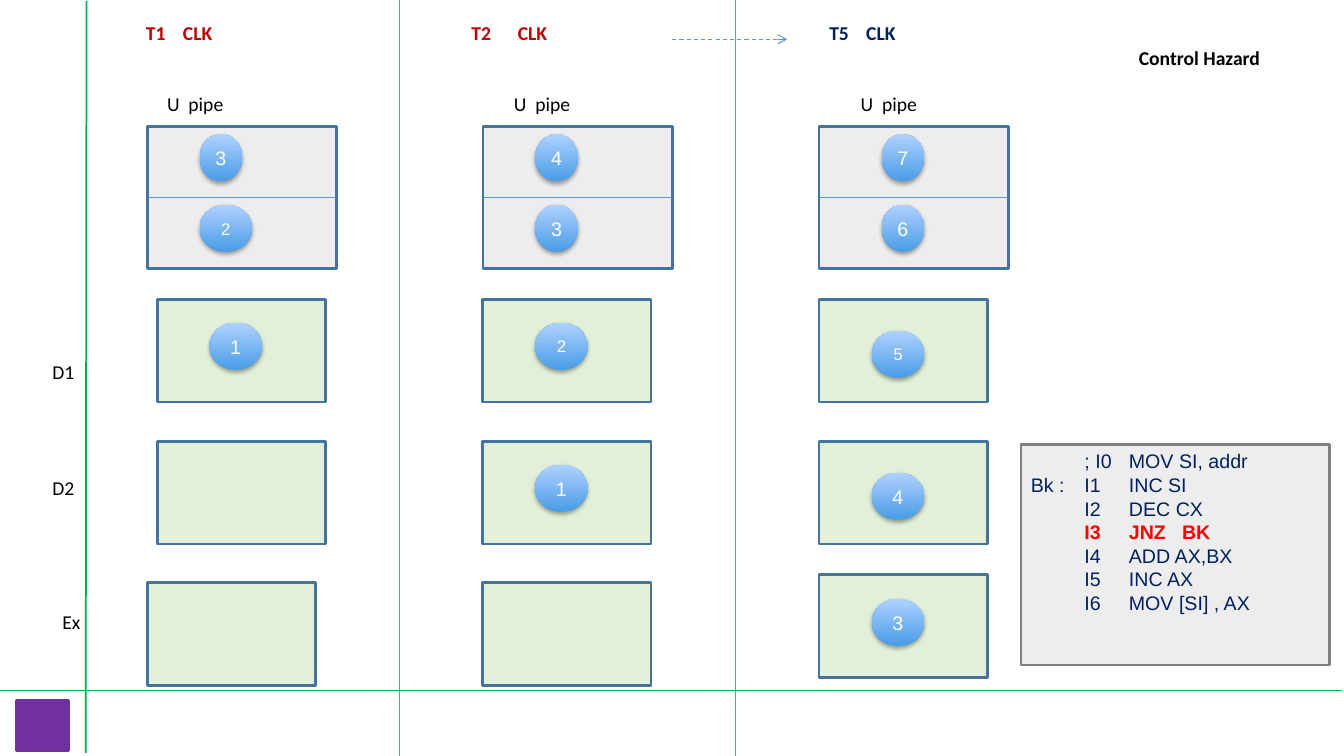
from dataclasses import dataclass

from lxml import etree
from pptx import Presentation
from pptx.dml.color import RGBColor
from pptx.enum.dml import MSO_LINE
from pptx.enum.shapes import MSO_CONNECTOR, MSO_SHAPE
from pptx.enum.text import MSO_ANCHOR, PP_ALIGN
from pptx.oxml.ns import qn
from pptx.util import Cm, Pt

RECTANGLE, OVAL = MSO_SHAPE.RECTANGLE, MSO_SHAPE.OVAL
STRAIGHT, DASH = MSO_CONNECTOR.STRAIGHT, MSO_LINE.DASH
TOP, MIDDLE, CENTER = MSO_ANCHOR.TOP, MSO_ANCHOR.MIDDLE, PP_ALIGN.CENTER

COLORS = {
    "fetch": "EDEDED", "stage": "E2F0D9", "outline": "43739E",
    "token_bottom": "499CE7", "token_top": "B0D2FF", "shadow": "000000",
    "rule": "5698D3", "axis": "00B050", "square": "7030A0",
    "listing_edge": "808080", "navy": "002060", "clock": "C00000",
    "jump": "FF0000", "black": "000000", "white": "FFFFFF",
}

# Lengths in centimetres
SLIDE_WIDTH, SLIDE_HEIGHT = 33.87, 19.05
FETCH_TOP, FETCH_WIDTH, FETCH_HEIGHT = 3.18, 4.78, 3.58
STAGE_WIDTH, STAGE_HEIGHT = 4.24, 2.59
D1_TOP, D2_TOP, EX_TOP = 7.54, 11.12, 14.68
UPPER, LOWER = 3.38, 5.16
WIDE, NARROW, TOKEN_HEIGHT = 1.32, 1.07, 1.19
COLUMN_LEFT, COLUMN_PITCH = 3.71, 8.465
SEPARATOR_LEFT = 10.06


@dataclass
class Token:
    number: int
    left: float
    top: float
    width: float = WIDE
    size: int = 14


@dataclass
class Cycle:
    stages: list[tuple[float, float]]
    tokens: list[Token]


@dataclass
class Label:
    text: str
    left: float
    top: float
    width: float
    color: str = "black"
    bold: bool = False
    tab: float = 0


CYCLES = [
    Cycle([(3.96, D1_TOP), (3.96, D2_TOP), (3.71, EX_TOP)],
          [Token(3, 5.03, UPPER, NARROW), Token(2, 5.03, LOWER, size=12),
           Token(1, 5.28, 8.13)]),
    Cycle([(12.17, D1_TOP), (12.17, D2_TOP), (12.17, EX_TOP)],
          [Token(4, 13.49, UPPER, NARROW), Token(3, 13.49, LOWER, NARROW),
           Token(2, 13.49, 8.13, size=12), Token(1, 13.49, 11.71)]),
    Cycle([(20.64, D1_TOP), (20.64, D2_TOP), (20.64, 14.48)],
          [Token(7, 22.22, UPPER, NARROW), Token(6, 22.22, LOWER, NARROW),
           Token(5, 21.97, 8.33, size=12), Token(4, 21.97, 11.91),
           Token(3, 21.97, 15.09)]),
]

LABELS = [
    Label("D1", 1.07, 8.94, 1.24),
    Label("D2", 1.07, 11.86, 1.24),
    Label("Ex", 1.32, 15.24, 1.09),
    Label("Control Hazard", 28.45, 1.04, 4.47, bold=True),
    Label("T1\tCLK", 3.43, 0.41, 4.78, "clock", True, 0.93),
    Label("T2\tCLK", 11.63, 0.41, 4.78, "clock", True, 1.17),
    Label("T5\tCLK", 20.65, 0.41, 4.78, "navy", True, 0.93),
    *(Label("U\tpipe", left, 2.18, 3.18, tab=0.54) for left in (3.96, 12.7, 21.44)),
]

LISTING = [
    "\t; I0\tMOV SI, addr",
    "Bk :\tI1\tINC SI",
    "\tI2\tDEC CX",
    "\tI3\tJNZ\tBK",
    "\tI4\tADD AX,BX",
    "\tI5\tINC AX",
    "\tI6\tMOV [SI] , AX",
]
LISTING_TABS = [1.35, 2.47, 3.81]


def rgb(name: str) -> RGBColor:
    return RGBColor.from_string(COLORS[name])


def add_tabs(para, stops: list[float]) -> None:
    tab_list = etree.SubElement(para._p.get_or_add_pPr(), qn("a:tabLst"))
    for stop in stops:
        etree.SubElement(tab_list, qn("a:tab"), pos=str(Cm(stop)), algn="l")


def set_font(para, name: str, size: int, color: str, bold: bool = False) -> None:
    font = para.font
    font.name, font.size, font.bold = name, Pt(size), bold
    font.color.rgb = rgb(color)


def add_box(page, left: float, top: float, width: float, height: float,
            fill: str, edge: str):
    box = page.shapes.add_shape(RECTANGLE, Cm(left), Cm(top), Cm(width), Cm(height))
    box.shadow.inherit = False
    box.fill.solid()
    box.fill.fore_color.rgb = rgb(fill)
    box.line.color.rgb = rgb(edge)
    box.line.width = Pt(2)
    return box


def add_line(page, start: tuple[float, float], end: tuple[float, float],
             color: str = "rule", width: float = 0.75):
    line = page.shapes.add_connector(
        STRAIGHT, Cm(start[0]), Cm(start[1]), Cm(end[0]), Cm(end[1]))
    line.line.color.rgb = rgb(color)
    line.line.width = Pt(width)
    etree.SubElement(line._element.spPr, qn("a:effectLst"))
    return line


def add_token(page, token: Token) -> None:
    oval = page.shapes.add_shape(
        OVAL, Cm(token.left), Cm(token.top), Cm(token.width), Cm(TOKEN_HEIGHT))
    oval.fill.gradient()
    oval.fill.gradient_angle = 90
    for stop, color in zip(oval.fill.gradient_stops, ("token_bottom", "token_top")):
        stop.color.rgb = rgb(color)
    oval.line.fill.background()
    oval.shadow.inherit = False
    effects = oval._element.spPr.find(qn("a:effectLst"))
    shadow = etree.SubElement(
        effects, qn("a:outerShdw"), blurRad=str(Pt(3.1)), dist=str(Pt(1.8)),
        dir="5400000", rotWithShape="0")
    shade = etree.SubElement(shadow, qn("a:srgbClr"), val=COLORS["shadow"])
    etree.SubElement(shade, qn("a:alpha"), val="35000")
    frame = oval.text_frame
    frame.margin_left = frame.margin_right = frame.margin_top = frame.margin_bottom = 0
    frame.vertical_anchor = MIDDLE
    para = frame.paragraphs[0]
    para.text = str(token.number)
    para.alignment = CENTER
    set_font(para, "Arial", token.size, "white")


def add_label(page, label: Label) -> None:
    box = page.shapes.add_textbox(
        Cm(label.left), Cm(label.top), Cm(label.width), Cm(1.02))
    box.text_frame.word_wrap = True
    para = box.text_frame.paragraphs[0]
    para.text = label.text
    if label.tab:
        add_tabs(para, [label.tab])
    set_font(para, "Calibri", 14, label.color, label.bold)


def add_listing(page) -> None:
    box = add_box(page, 25.73, 11.2, 7.77, 5.56, "fetch", "listing_edge")
    frame = box.text_frame
    frame.vertical_anchor = TOP
    frame.text = "\n".join(LISTING)
    for para in frame.paragraphs:
        is_jump = "JNZ" in para.text
        para.alignment = PP_ALIGN.LEFT
        add_tabs(para, LISTING_TABS)
        set_font(para, "Arial", 14, "jump" if is_jump else "navy", is_jump)


def main() -> None:
    deck = Presentation()
    deck.slide_width, deck.slide_height = Cm(SLIDE_WIDTH), Cm(SLIDE_HEIGHT)
    page = deck.slides.add_slide(deck.slide_layouts[6])

    # Pipeline state in each clock cycle
    for index, cycle in enumerate(CYCLES):
        left = COLUMN_LEFT + index * COLUMN_PITCH
        add_box(page, left, FETCH_TOP, FETCH_WIDTH, FETCH_HEIGHT, "fetch", "outline")
        middle = FETCH_TOP + FETCH_HEIGHT / 2
        add_line(page, (left + 0.03, middle), (left + FETCH_WIDTH - 0.03, middle))
        for stage_left, stage_top in cycle.stages:
            add_box(page, stage_left, stage_top, STAGE_WIDTH, STAGE_HEIGHT,
                    "stage", "outline")
        for token in cycle.tokens:
            add_token(page, token)

    # Program listing and labels
    add_listing(page)
    for label in LABELS:
        add_label(page, label)

    # Cycle separators and arrow to the later cycle
    for index in range(2):
        x = SEPARATOR_LEFT + index * COLUMN_PITCH
        add_line(page, (x, 0), (x, SLIDE_HEIGHT))
    arrow = add_line(page, (16.94, 0.99), (19.84, 0.99))
    arrow.line.dash_style = DASH
    etree.SubElement(arrow.line._get_or_add_ln(), qn("a:tailEnd"), type="arrow")

    # Corner square and axes
    add_box(page, 0.41, 17.65, 1.32, 1.27, "square", "square")
    add_line(page, (2.18, 0.03), (2.16, 18.97), "axis", 1.25)
    add_line(page, (0, 17.4), (33.83, 17.4), "axis", 1.25)

    deck.save("out.pptx")


if __name__ == "__main__":
    main()
